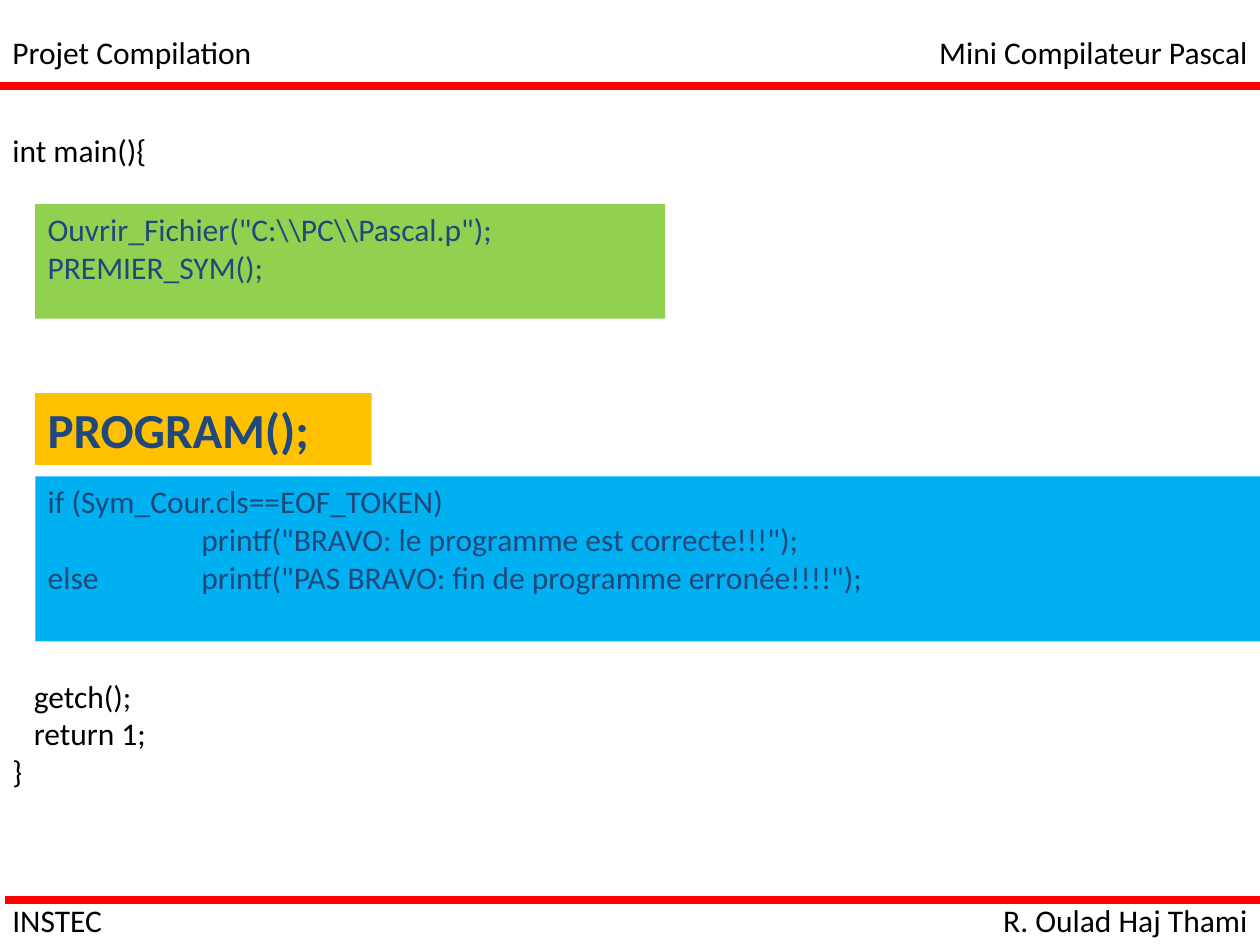
import pptx
import pptx.util
import pptx.dml.color
import pptx.enum.shapes
import pptx.enum.text
import pptx.oxml
import pptx.oxml.ns
import lxml.etree

Inches = pptx.util.Inches
RGBColor = pptx.dml.color.RGBColor
PP_ALIGN = pptx.enum.text.PP_ALIGN

BLACK = RGBColor(0x00, 0x00, 0x00)
RED = RGBColor(0xFF, 0x00, 0x00)
NAVY = RGBColor(0x1F, 0x49, 0x7D)
GREEN = RGBColor(0x92, 0xD0, 0x50)
AMBER = RGBColor(0xFF, 0xC0, 0x00)
BLUE = RGBColor(0x00, 0xB0, 0xF0)


def write_lines(sp, lines, color, size=18, bold=False, align=PP_ALIGN.LEFT, wrap=True):
    tf = sp.text_frame
    tf.word_wrap = wrap
    tf.vertical_anchor = pptx.enum.text.MSO_ANCHOR.TOP
    for i, line in enumerate(lines):
        p = tf.paragraphs[0] if i == 0 else tf.add_paragraph()
        p.alignment = align
        r = p.add_run()
        r.text = line
        r.font.name = "Calibri"
        r.font.size = pptx.util.Pt(size)
        r.font.bold = bold
        r.font.color.rgb = color
    return tf


def add_text(slide, box, lines, **style):
    sp = slide.shapes.add_textbox(*map(Inches, box))
    return write_lines(sp, lines, BLACK, **style)


def add_code_block(slide, box, fill, lines, **style):
    sp = slide.shapes.add_shape(
        pptx.enum.shapes.MSO_SHAPE.RECTANGLE, *map(Inches, box))
    sp.shadow.inherit = False
    sp.fill.solid()
    sp.fill.fore_color.rgb = fill
    sp.line.fill.background()
    return write_lines(sp, lines, NAVY, **style)


def add_rule(slide, left, top):
    line = slide.shapes.add_connector(
        pptx.enum.shapes.MSO_CONNECTOR.STRAIGHT,
        Inches(left), Inches(top), Inches(left + 10), Inches(top))
    line.line.color.rgb = RED
    line.line.width = pptx.util.Pt(4.5)
    lxml.etree.SubElement(line._element.spPr, pptx.oxml.ns.qn("a:effectLst"))


def indent(p, left):
    p._p.get_or_add_pPr().set("marL", str(Inches(left)))


def set_tab(p, position):
    tabs = lxml.etree.SubElement(p._p.get_or_add_pPr(), pptx.oxml.ns.qn("a:tabLst"))
    tab = lxml.etree.SubElement(tabs, pptx.oxml.ns.qn("a:tab"))
    tab.set("pos", str(Inches(position)))
    tab.set("algn", "l")


def add_frame(slide):
    add_rule(slide, 0, 0.68)
    add_rule(slide, 0.04, 7.14)
    for top, left_label, left_width, right_label, right_width in (
        (0.21, "Projet Compilation", 2.12, "Mini Compilateur Pascal", 2.68),
        (7.1, "INSTEC", 0.93, "R. Oulad Haj Thami", 2.16),
    ):
        add_text(slide, (0, top, left_width, 0.4), [left_label], wrap=False)
        add_text(slide, (10 - right_width, top, right_width, 0.4), [right_label],
                 align=PP_ALIGN.RIGHT, wrap=False)


def add_program(slide):
    add_text(slide, (0, 0.99, 1.7, 0.5), ["int main(){"])
    add_code_block(slide, (0.28, 1.62, 5, 0.91), GREEN,
                   ['Ouvrir_Fichier("C:\\\\PC\\\\Pascal.p");', "PREMIER_SYM();"])
    add_code_block(slide, (0.28, 3.12, 2.67, 0.57), AMBER,
                   ["PROGRAM();"], size=28, bold=True)
    check = add_code_block(slide, (0.28, 3.78, 9.72, 1.31), BLUE, [
        "if (Sym_Cour.cls==EOF_TOKEN)",
        '\tprintf("BRAVO: le programme est correcte!!!");',
        'else\tprintf("PAS BRAVO: fin de programme erronée!!!!");',
    ])
    for p in check.paragraphs[1:]:
        set_tab(p, 1.22)
    ending = add_text(slide, (0, 5.32, 1.6, 1.31), ["getch();", "return 1;", "}"])
    for p in ending.paragraphs[:2]:
        indent(p, 0.17)


def main():
    prs = pptx.Presentation()
    prs.slide_width = Inches(10)
    prs.slide_height = Inches(7.5)
    slide = prs.slides.add_slide(prs.slide_layouts[6])
    add_frame(slide)
    add_program(slide)
    prs.save("out.pptx")


if __name__ == "__main__":
    main()
